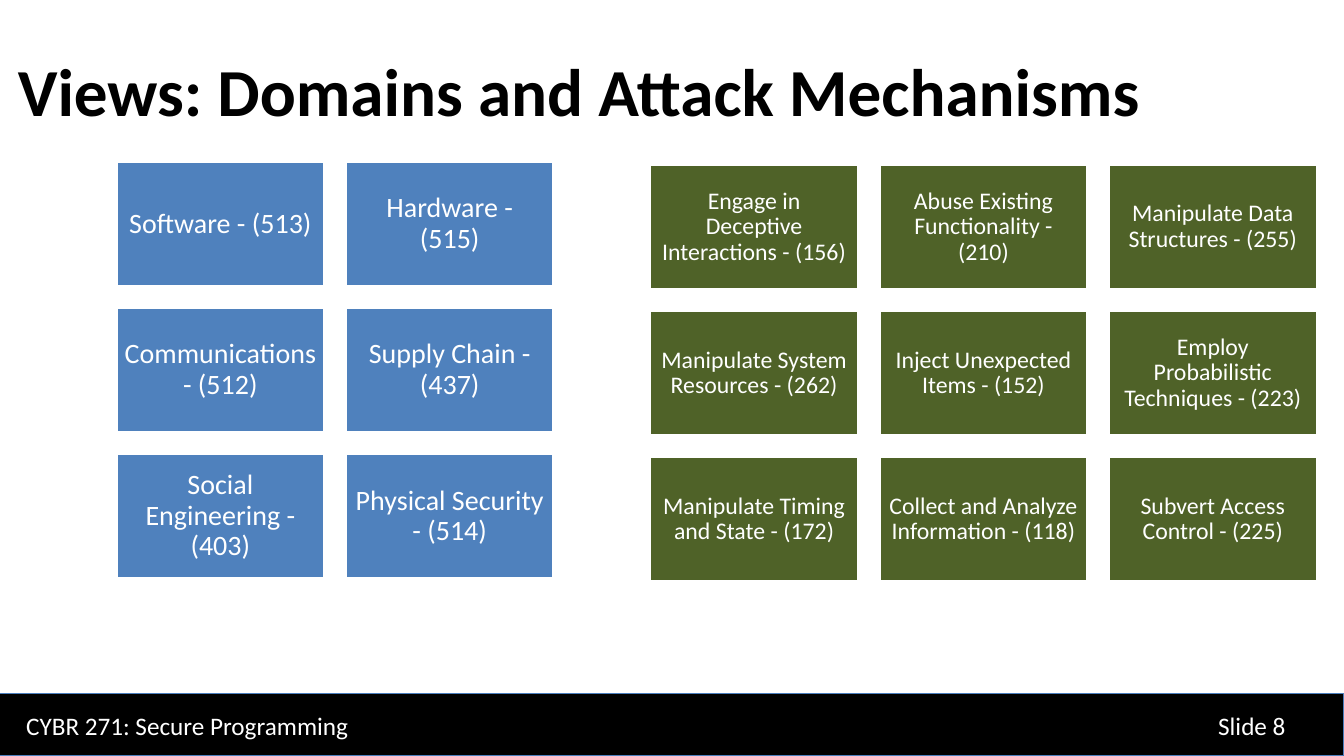
from pptx import Presentation
from pptx.dml.color import RGBColor
from pptx.enum.shapes import MSO_SHAPE
from pptx.enum.text import MSO_ANCHOR, PP_ALIGN
from pptx.util import Cm, Pt

RECT = MSO_SHAPE.RECTANGLE
TOP, MIDDLE = MSO_ANCHOR.TOP, MSO_ANCHOR.MIDDLE
LEFT, CENTER = PP_ALIGN.LEFT, PP_ALIGN.CENTER

BLACK = RGBColor(0x00, 0x00, 0x00)
WHITE = RGBColor(0xFF, 0xFF, 0xFF)
BLUE = RGBColor(0x4F, 0x81, 0xBD)
GREEN = RGBColor(0x4F, 0x62, 0x28)
EDGE = RGBColor(0x4B, 0x7E, 0xBC)

TILE_W, TILE_H = 5.25, 3.15
STEP_X, STEP_Y = 5.78, 3.68

DOMAINS = [
    "Software - (513)", "Hardware - (515)",
    "Communications - (512)", "Supply Chain - (437)",
    "Social Engineering - (403)", "Physical Security - (514)",
]
ATTACKS = [
    "Engage in Deceptive Interactions - (156)",
    "Abuse Existing Functionality - (210)",
    "Manipulate Data Structures - (255)",
    "Manipulate System Resources - (262)",
    "Inject Unexpected Items - (152)",
    "Employ Probabilistic Techniques - (223)",
    "Manipulate Timing and State - (172)",
    "Collect and Analyze Information - (118)",
    "Subvert Access Control - (225)",
]


def add_text(shape, words, size, color=WHITE, bold=False, align=LEFT,
             anchor=TOP, inset=None, spacing=None):
    frame = shape.text_frame
    frame.word_wrap = True
    frame.vertical_anchor = anchor
    if inset is not None:
        frame.margin_left = frame.margin_right = Cm(inset)
        frame.margin_top = frame.margin_bottom = Cm(inset)
    para = frame.paragraphs[0]
    para.alignment = align
    para.line_spacing = spacing
    run = para.add_run()
    run.text = words
    font = run.font
    font.name, font.size, font.bold = "Calibri", Pt(size), bold
    font.color.rgb = color


def add_box(slide, x, y, w, h, fill, line=None, width=0.75):
    box = slide.shapes.add_shape(RECT, Cm(x), Cm(y), Cm(w), Cm(h))
    box.shadow.inherit = False
    box.fill.solid()
    box.fill.fore_color.rgb = fill
    if line is None:
        box.line.fill.background()
    else:
        box.line.color.rgb = line
        box.line.width = Pt(width)
    return box


def add_title(slide, words):
    box = slide.shapes.add_textbox(Cm(0.2), Cm(1.12), Cm(33), Cm(2.31))
    add_text(box, words, 48, color=BLACK, bold=True)


def add_grid(slide, labels, cols, x, y, fill, size, inset):
    for i, label in enumerate(labels):
        row, col = divmod(i, cols)
        tile = add_box(slide, x + col * STEP_X, y + row * STEP_Y,
                       TILE_W, TILE_H, fill, line=WHITE, width=2)
        add_text(tile, label, size, align=CENTER, anchor=MIDDLE,
                 inset=inset, spacing=0.9)


def add_footer(slide):
    add_box(slide, 0, 17.48, 33.87, 1.57, BLACK, line=EDGE)
    for words, x, w in [("CYBR 271: Secure Programming", 0.41, 12.42),
                        ("Slide 8", 30.45, 2.77)]:
        add_text(add_box(slide, x, 17.78, w, 1.02, BLACK), words, 18)


def main():
    deck = Presentation()
    deck.slide_width, deck.slide_height = Cm(33.87), Cm(19.05)
    slide = deck.slides.add_slide(deck.slide_layouts[6])
    add_footer(slide)
    add_grid(slide, DOMAINS, 2, 2.93, 4.07, BLUE, 20, 0.2)
    add_title(slide, "Views: Domains and Attack Mechanisms")
    add_grid(slide, ATTACKS, 3, 16.38, 4.15, GREEN, 17, 0.18)
    deck.save("out.pptx")


if __name__ == "__main__":
    main()
